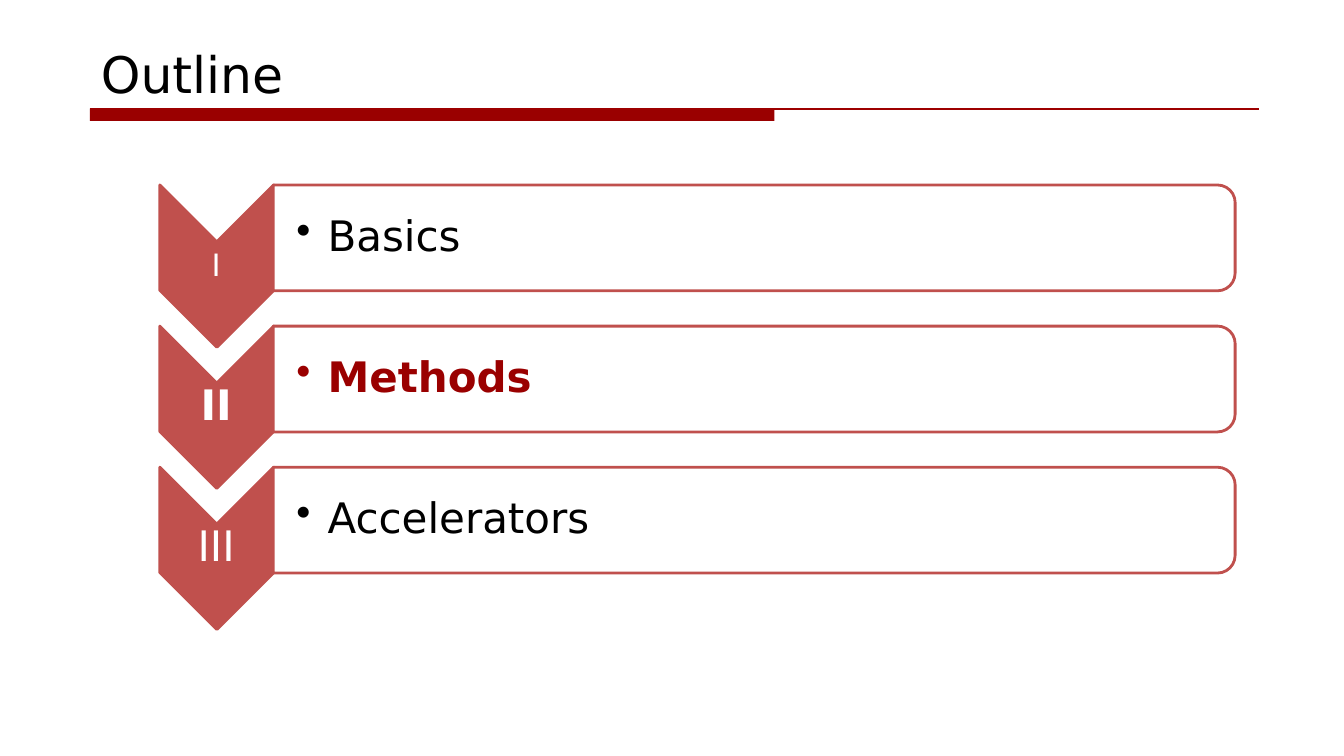
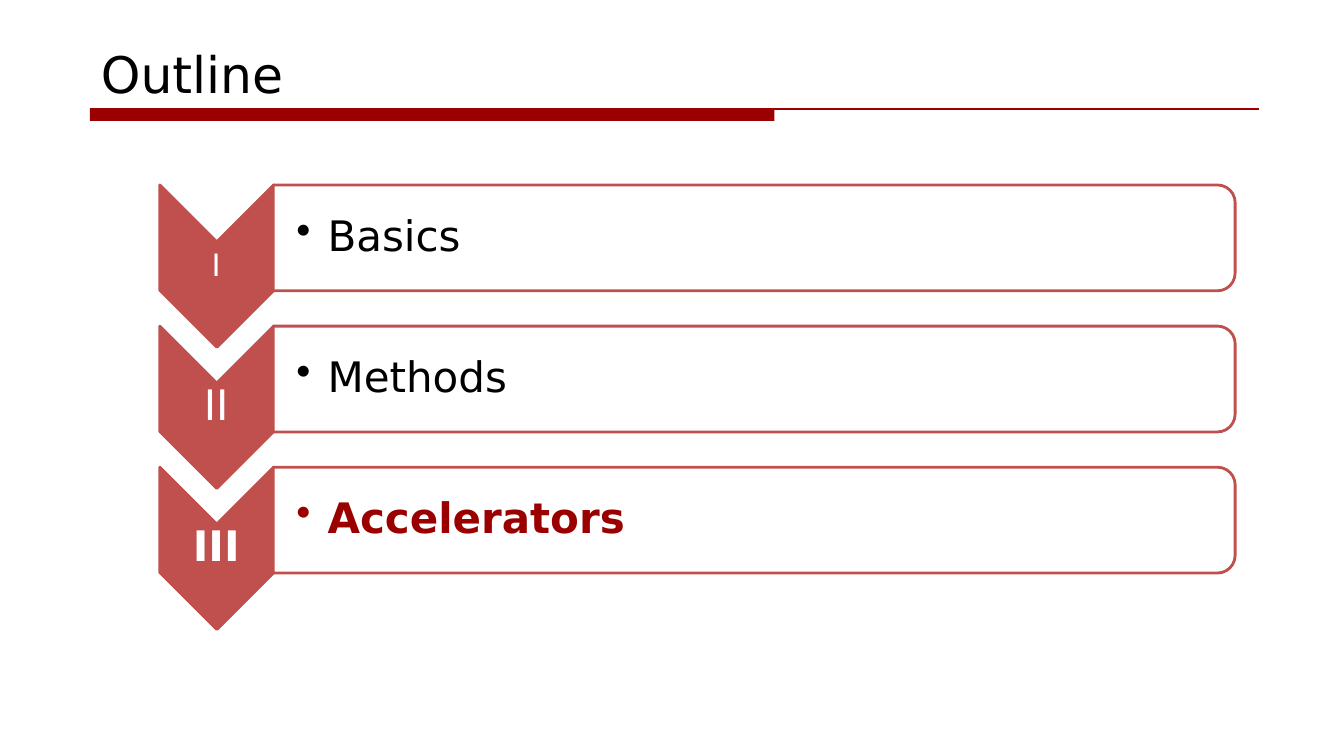
from pptx import Presentation
from pptx import util as u
from pptx.dml.color import RGBColor
from pptx.enum import shapes, text
from pptx.oxml.ns import qn
from lxml import etree

COLORS = {
    "bar": "9A0000",
    "rule": "9D0000",
    "accent": "C0504D",
    "white": "FFFFFF",
    "black": "000000",
}
FONT = "DejaVu Sans"
SECTIONS = [("I", "Basics", 22), ("II", "Methods", 30), ("III", "Accelerators", 30)]
FIRST_ROW = 2.36
ROW_PITCH = 1.4
CHEVRON_DROP = 0.28


def color(name):
    return RGBColor.from_string(COLORS[name])


def write(frame, words, size=30, ink="black", bold=False, align="LEFT",
          anchor="MIDDLE", spacing=None, bullet=False):
    frame.word_wrap = True
    frame.vertical_anchor = getattr(text.MSO_ANCHOR, anchor)
    para = frame.paragraphs[0]
    para.alignment = getattr(text.PP_ALIGN, align)
    if spacing:
        para.line_spacing = spacing
    if bullet:
        props = para._p.get_or_add_pPr()
        props.set("marL", str(u.Inches(0.31)))
        props.set("indent", str(u.Inches(-0.31)))
        etree.SubElement(props, qn("a:buChar")).set("char", "•")
    span = para.add_run()
    span.text = words
    span.font.name = FONT
    span.font.size = u.Pt(size)
    span.font.bold = bold
    span.font.color.rgb = color(ink)


class OutlineDeck:
    def __init__(self):
        self.deck = Presentation()
        self.deck.slide_width = u.Inches(13.33)
        self.deck.slide_height = u.Inches(7.5)
        self.page = None

    def new_page(self, title):
        self.page = self.deck.slides.add_slide(self.deck.slide_layouts[5])
        self.shape("RECTANGLE", 0.89, 1.08, 6.79, 0.12, fill="bar")
        self.rule(0.89, 12.49, 1.08)
        box = self.page.shapes.title
        box.left, box.top = u.Inches(0.9), u.Inches(0.38)
        box.width, box.height = u.Inches(11.6), u.Inches(0.71)
        write(box.text_frame, title, size=36, anchor="TOP")

    def rule(self, left, right, top):
        line = self.page.shapes.add_connector(
            shapes.MSO_CONNECTOR.STRAIGHT,
            u.Inches(left), u.Inches(top), u.Inches(right), u.Inches(top))
        line.line.color.rgb = color("rule")
        line.line.width = u.Pt(1)
        etree.SubElement(line._element.spPr, qn("a:effectLst"))

    def shape(self, kind, left, top, width, height, fill, outline=None, turn=0):
        shape = self.page.shapes.add_shape(
            getattr(shapes.MSO_SHAPE, kind),
            u.Inches(left), u.Inches(top), u.Inches(width), u.Inches(height))
        shape.rotation = turn
        shape.shadow.inherit = False
        shape.fill.solid()
        shape.fill.fore_color.rgb = color(fill)
        if outline:
            shape.line.color.rgb = color(outline)
            shape.line.width = u.Pt(2)
        else:
            shape.line.fill.background()

    def turned_shape(self, kind, center_x, center_y, width, height, fill):
        self.shape(kind, center_x - width / 2, center_y - height / 2,
                   width, height, fill, outline="accent", turn=90)

    def label(self, words, left, center_y, width, height, inset=0.02, **style):
        box = self.page.shapes.add_textbox(
            u.Inches(left), u.Inches(center_y - height / 2),
            u.Inches(width), u.Inches(height))
        frame = box.text_frame
        frame.margin_left = u.Inches(inset)
        frame.margin_right = frame.margin_top = frame.margin_bottom = u.Inches(0.02)
        write(frame, words, spacing=0.9, **style)

    def section(self, row, numeral, name, numeral_size, current):
        middle = FIRST_ROW + row * ROW_PITCH
        chevron_middle = middle + CHEVRON_DROP
        self.turned_shape("CHEVRON", 2.15, chevron_middle, 1.61, 1.13, "accent")
        self.label(numeral, 1.58, chevron_middle, 1.13, 0.48, size=numeral_size,
                   ink="white", bold=current, align="CENTER")
        self.turned_shape("ROUND_2_SAME_RECTANGLE", 7.48, middle, 1.05, 9.54, "white")
        self.label(name, 2.71, middle, 9.49, 0.95, inset=0.23, bullet=True,
                   ink="bar" if current else "black", bold=current)

    def outline(self, current):
        self.new_page("Outline")
        for row, (numeral, name, size) in enumerate(SECTIONS):
            self.section(row, numeral, name, size, name == current)


def main():
    show = OutlineDeck()
    for current in ("Methods", "Accelerators"):
        show.outline(current)
    show.deck.save("out.pptx")


if __name__ == "__main__":
    main()
